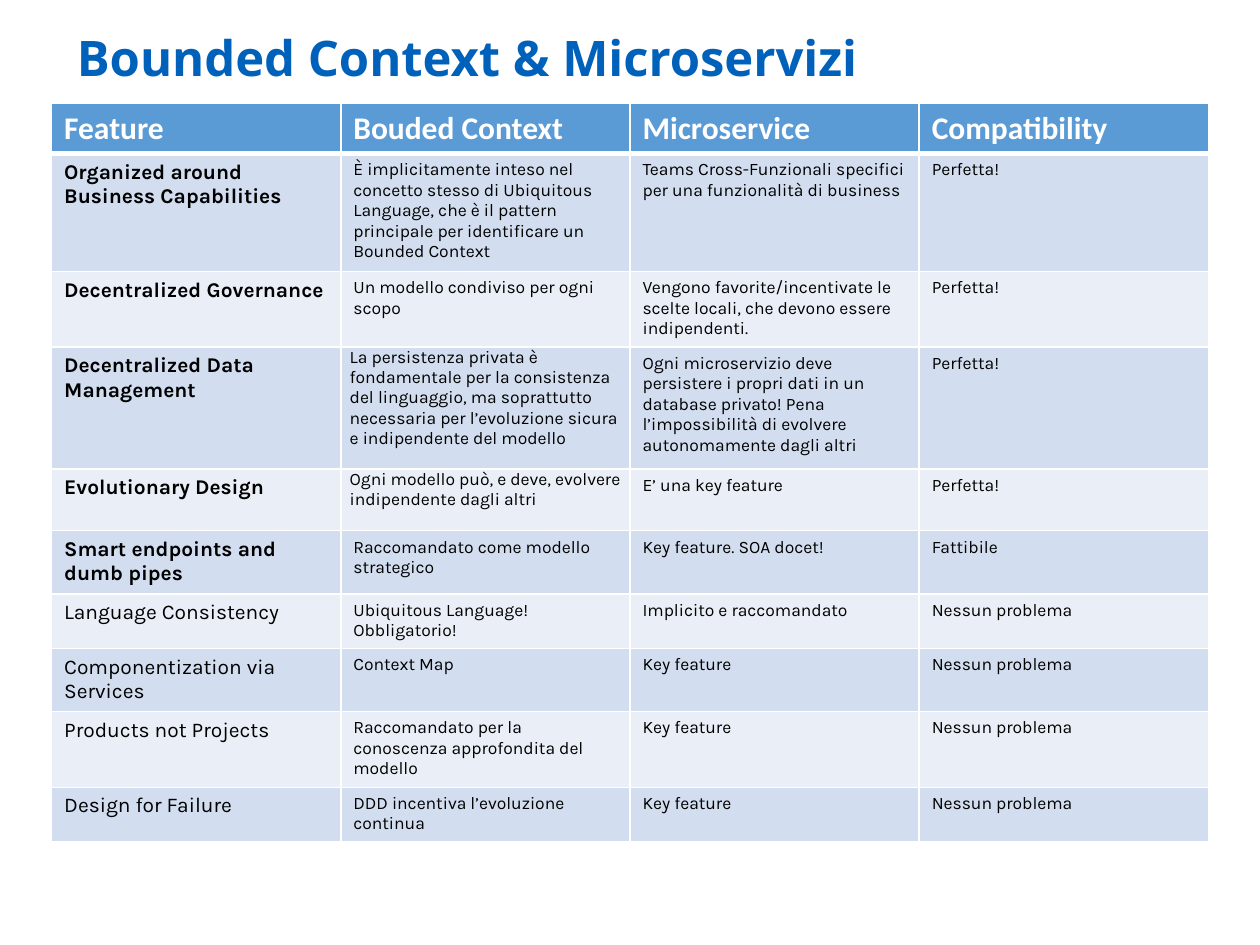
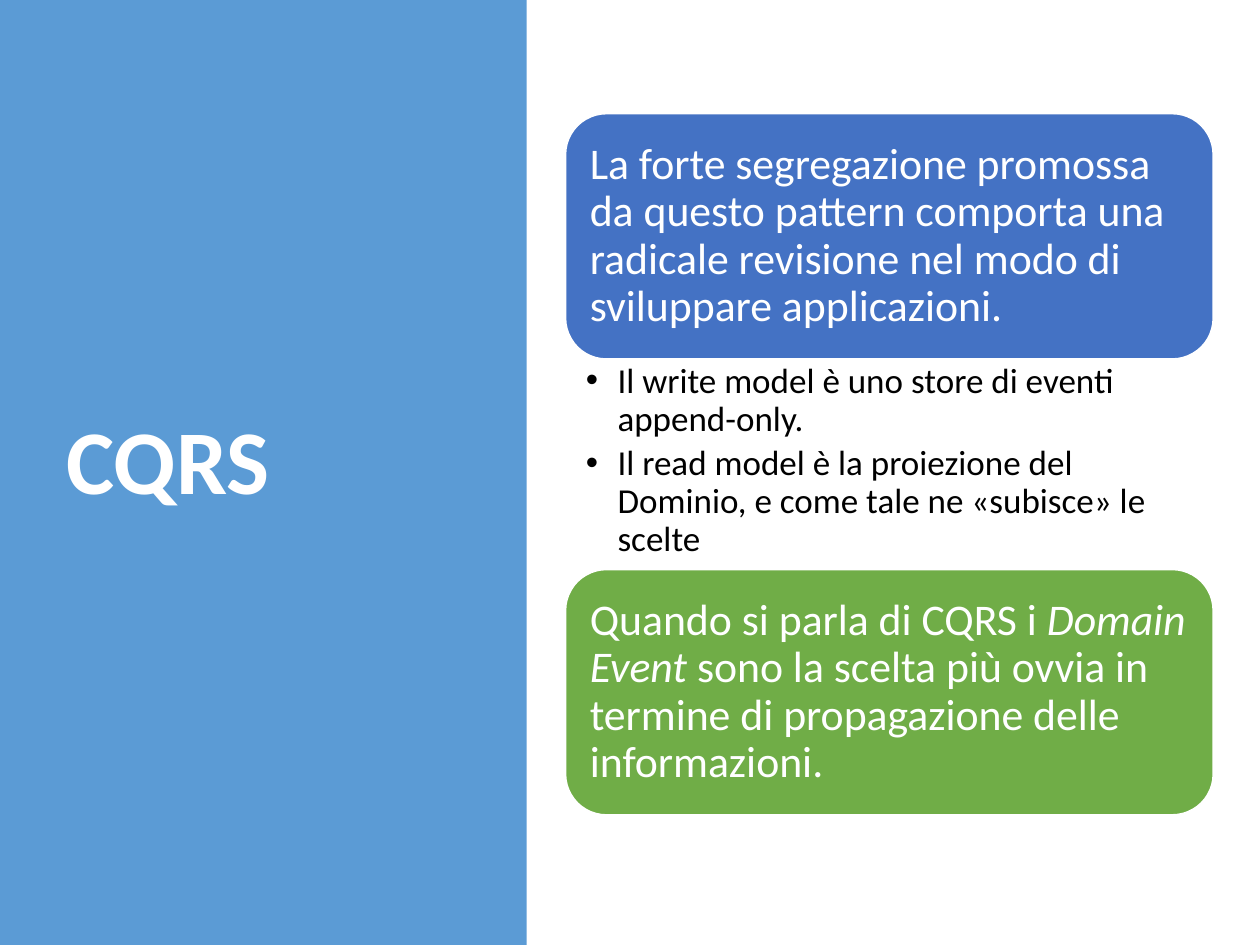
"""Build two slides: a bounded context comparison table and a CQRS summary."""
from lxml.etree import SubElement
from pptx import Presentation
from pptx.dml.color import RGBColor
from pptx.enum.shapes import MSO_SHAPE
from pptx.enum.text import MSO_ANCHOR, PP_ALIGN
from pptx.oxml.ns import qn
from pptx.util import Cm, Pt

COLORS = {
    "white": "FFFFFF", "black": "000000", "title": "0061BB", "band": "5B9BD5",
    "odd": "D2DEEF", "even": "EAEFF7", "blue": "4472C4", "green": "70AD47",
}

TABLE_TITLE = "Bounded Context & Microservizi"
HEADERS = ["Feature", "Bouded Context", "Microservice", "Compatibility"]
FEATURES = [
    ("Organized around Business Capabilities",
     "È implicitamente inteso nel concetto stesso di Ubiquitous Language, che è il pattern "
     "principale per identificare un Bounded Context",
     "Teams Cross-Funzionali specifici per una funzionalità di business", "Perfetta!"),
    ("Decentralized Governance", "Un modello condiviso per ogni scopo",
     "Vengono favorite/incentivate le scelte locali, che devono essere indipendenti.",
     "Perfetta!"),
    ("Decentralized Data Management",
     "La persistenza privata è fondamentale per la consistenza del linguaggio, ma soprattutto "
     "necessaria per l’evoluzione sicura e indipendente del modello",
     "Ogni microservizio deve persistere i propri dati in un database privato! "
     "Pena l’impossibilità di evolvere autonomamente dagli altri", "Perfetta!"),
    ("Evolutionary Design", "Ogni modello può, e deve, evolvere indipendente dagli altri",
     "E’ una key feature", "Perfetta!"),
    ("Smart endpoints and dumb pipes", "Raccomandato come modello strategico",
     "Key feature. SOA docet!", "Fattibile"),
    ("Language Consistency", "Ubiquitous Language! Obbligatorio!",
     "Implicito e raccomandato", "Nessun problema"),
    ("Componentization via Services", "Context Map", "Key feature", "Nessun problema"),
    ("Products not Projects", "Raccomandato per la conoscenza approfondita del modello",
     "Key feature", "Nessun problema"),
    ("Design for Failure", "DDD incentiva l’evoluzione continua",
     "Key feature", "Nessun problema"),
]
ROW_HEIGHTS = [0.99, 2.31, 1.5, 2.46, 1.24, 1.24, 1.07, 1.24, 1.45, 1.07]
BOLD_FEATURES = 5
TIGHT_CELLS = [(3, 1), (4, 1)]

CQRS_TITLE = "CQRS"
CARDS = [
    ("blue", 2.29, ["La forte segregazione promossa da questo pattern comporta una radicale "
                    "revisione nel modo di sviluppare applicazioni."]),
    ("green", 11.48, ["Quando si parla di CQRS i ", "Domain Event",
                      " sono la scelta più ovvia in termine di propagazione delle "
                      "informazioni."]),
]
BULLETS = ["Il write model è uno store di eventi append-only.",
           "Il read model è la proiezione del Dominio, e come tale ne «subisce» le scelte"]
CARD_LEFT, CARD_WIDTH, CARD_HEIGHT = 11.4, 13.06, 4.95


def rgb(name):
    return RGBColor.from_string(COLORS[name])


def write(frame, paragraphs, size, font="Calibri", color="white", bold=False,
          spacing=None, after=None, bullet=False, anchor=MSO_ANCHOR.TOP, margins=None):
    """Fill a frame; each paragraph is a list of spans, every second one italic."""
    frame.word_wrap = True
    frame.vertical_anchor = anchor
    if margins:
        (frame.margin_left, frame.margin_top,
         frame.margin_right, frame.margin_bottom) = map(Cm, margins)
    for number, spans in enumerate(paragraphs):
        para = frame.add_paragraph() if number else frame.paragraphs[0]
        para.alignment = PP_ALIGN.LEFT
        para.line_spacing = spacing
        para.space_after = after
        if bullet:
            properties = para._p.get_or_add_pPr()
            properties.set("marL", str(Cm(0.64)))
            properties.set("indent", str(-Cm(0.64)))
            SubElement(properties, qn("a:buFont"), typeface="Arial")
            SubElement(properties, qn("a:buChar"), char="•")
        for position, text in enumerate(spans):
            span = para.add_run()
            span.text = text
            span.font.size = Pt(size)
            span.font.name = font
            span.font.bold = bold
            span.font.italic = position % 2 == 1
            span.font.color.rgb = rgb(color)


def add_text(page, place, paragraphs, **style):
    box = page.shapes.add_textbox(*map(Cm, place))
    write(box.text_frame, paragraphs, **style)


def add_title(page, place, text, **style):
    add_text(page, place, [[text]], bold=True, spacing=0.9,
             anchor=MSO_ANCHOR.MIDDLE, **style)


def add_panel(page, kind, place, color):
    panel = page.shapes.add_shape(kind, *map(Cm, place))
    panel.shadow.inherit = False
    panel.fill.solid()
    panel.fill.fore_color.rgb = rgb(color)
    panel.line.fill.background()
    return panel


def style_cell(cell, fill, bottom=1):
    cell.fill.solid()
    cell.fill.fore_color.rgb = rgb(fill)
    properties = cell._tc.get_or_add_tcPr()
    for order, (side, width) in enumerate([("L", 1), ("R", 1), ("T", 1), ("B", bottom)]):
        edge = SubElement(properties, qn(f"a:ln{side}"), w=str(Pt(width)))
        SubElement(SubElement(edge, qn("a:solidFill")), qn("a:srgbClr"), val=COLORS["white"])
        properties.insert(order, edge)


def write_cell(cell, text, margins=None, **style):
    if margins:
        (cell.margin_left, cell.margin_top,
         cell.margin_right, cell.margin_bottom) = map(Cm, margins)
    write(cell.text_frame, [[text]], **style)


def build_table_page(page):
    add_title(page, (1.3, 0.38, 22.17, 1.7), TABLE_TITLE,
              size=28, font="Open Sans", color="title")
    rows = [HEADERS, *FEATURES]
    table = page.shapes.add_table(len(rows), len(HEADERS), Cm(1.04), Cm(2.08),
                                  Cm(23.32), Cm(sum(ROW_HEIGHTS))).table
    for row, height in zip(table.rows, ROW_HEIGHTS):
        row.height = Cm(height)
    for r, texts in enumerate(rows):
        for c, text in enumerate(texts):
            cell = table.cell(r, c)
            if r == 0:
                write_cell(cell, text, size=18, bold=True)
                style_cell(cell, "band", bottom=3)
                continue
            write_cell(cell, text, size=10 if c else 12, font="Karla", color="black",
                       bold=c == 0 and r <= BOLD_FEATURES,
                       margins=(0.18, 0, 0.18, 0) if (r, c) in TIGHT_CELLS else None)
            style_cell(cell, "odd" if r % 2 else "even")


def build_cqrs_page(page):
    add_panel(page, MSO_SHAPE.RECTANGLE, (0, 0, 10.62, 19.05), "band")
    add_title(page, (1.09, 1.73, 7.92, 15.29), CQRS_TITLE, size=52)
    for color, top, spans in CARDS:
        card = add_panel(page, MSO_SHAPE.ROUNDED_RECTANGLE,
                         (CARD_LEFT, top, CARD_WIDTH, CARD_HEIGHT), color)
        card.line.color.rgb = rgb("white")
        card.line.width = Pt(1)
        write(card.text_frame, [spans], size=25, spacing=0.9,
              anchor=MSO_ANCHOR.MIDDLE, margins=(0.25, 0.25, 0.25, 0.25))
    bullets_top = CARDS[0][1] + CARD_HEIGHT
    add_text(page, (CARD_LEFT, bullets_top, CARD_WIDTH, CARDS[1][1] - bullets_top),
             [[text] for text in BULLETS], size=20, color="black", spacing=0.9,
             after=Pt(4), bullet=True, margins=(0.41, 0.08, 0.48, 0.08))


def main():
    deck = Presentation()
    deck.slide_width, deck.slide_height = Cm(25.4), Cm(19.05)
    for build in (build_table_page, build_cqrs_page):
        build(deck.slides.add_slide(deck.slide_layouts[6]))
    deck.save("out.pptx")


if __name__ == "__main__":
    main()
